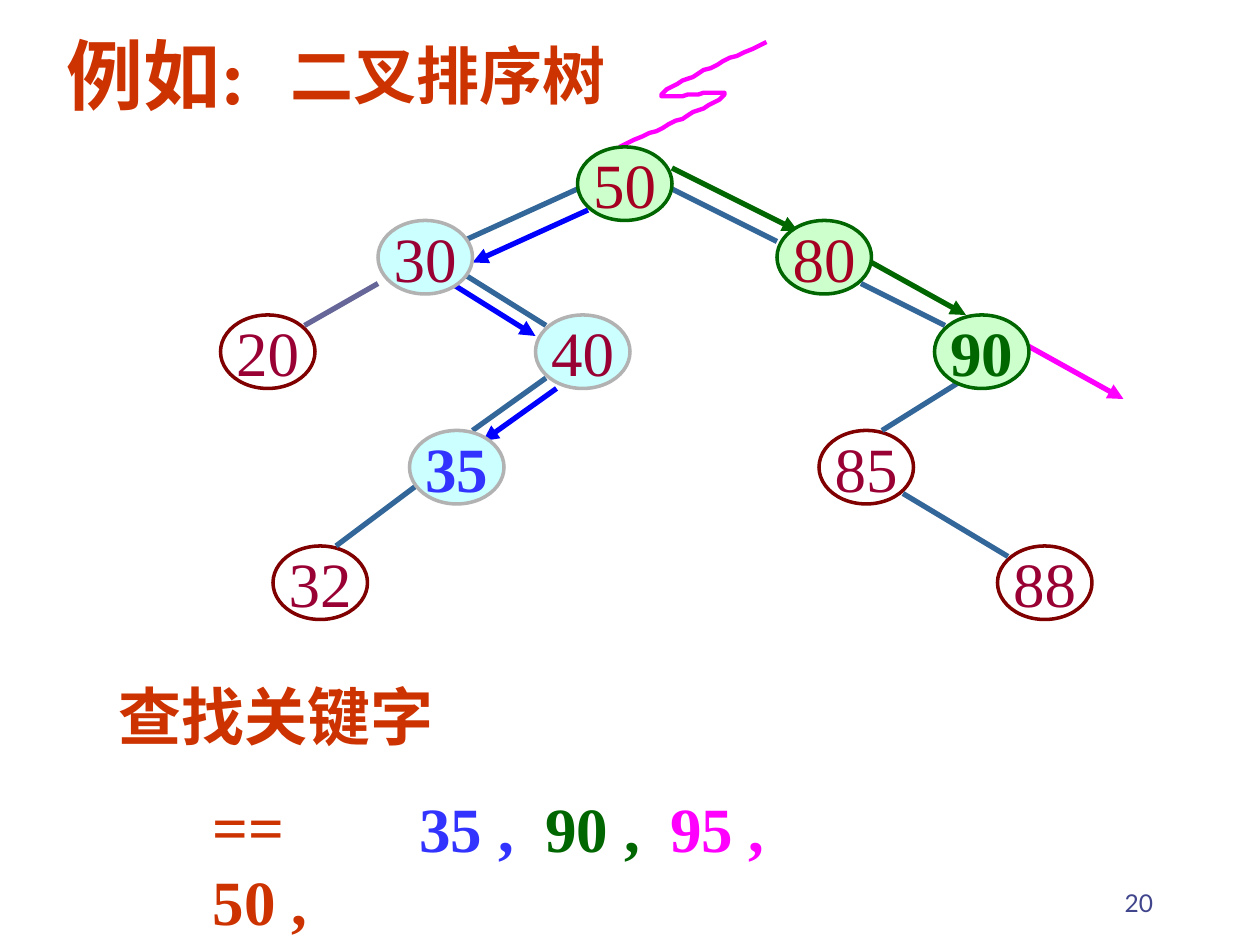
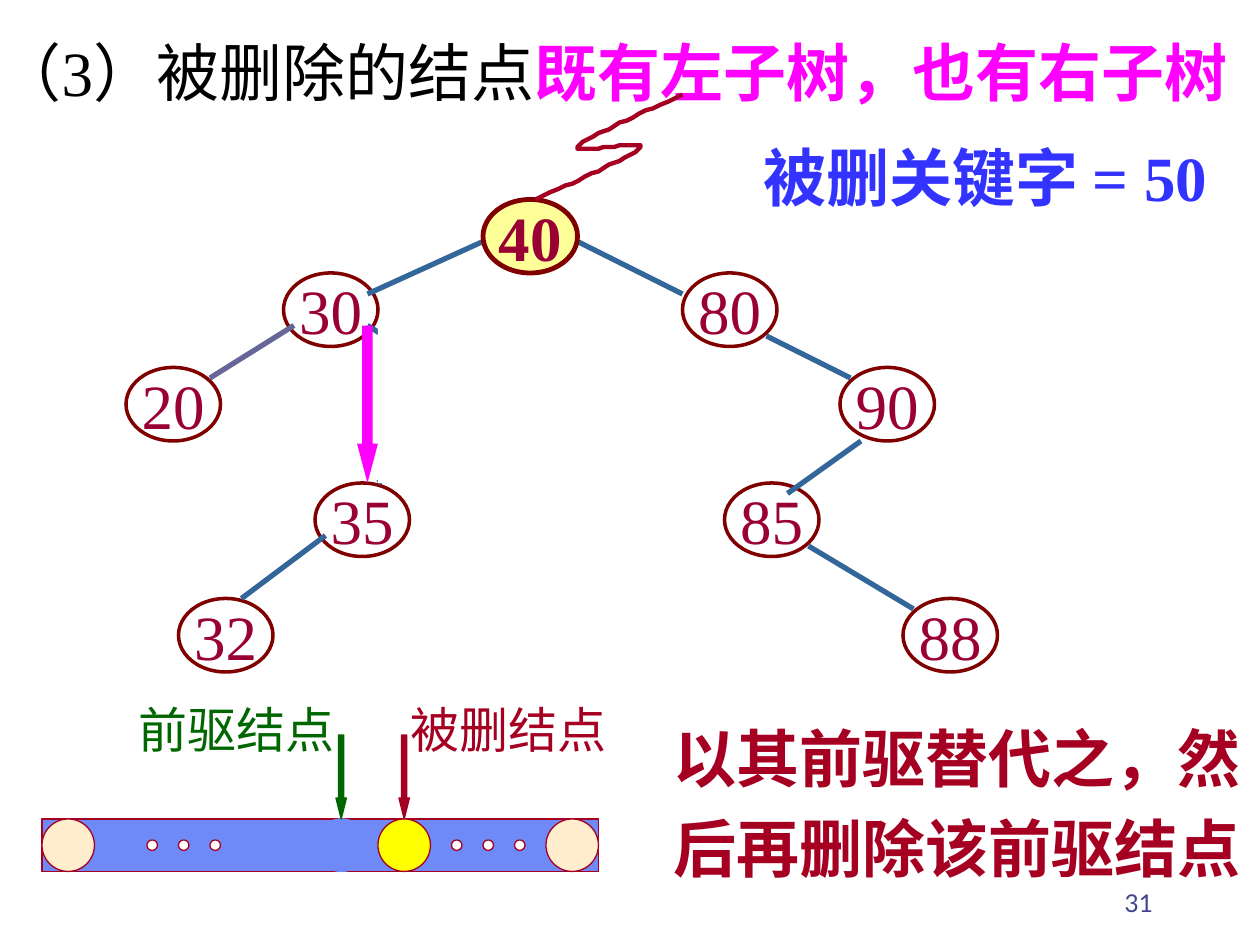
from lxml.etree import SubElement
from pptx import Presentation
from pptx.dml.color import RGBColor
from pptx.enum.shapes import MSO_CONNECTOR, MSO_SHAPE
from pptx.enum.text import MSO_ANCHOR, MSO_AUTO_SIZE, PP_ALIGN
from pptx.oxml.ns import qn
from pptx.util import Pt

WHITE = RGBColor(0xFF, 0xFF, 0xFF)
BLACK = RGBColor(0x00, 0x00, 0x00)
ORANGE = RGBColor(0xCC, 0x33, 0x00)
MAGENTA = RGBColor(0xFF, 0x00, 0xFF)
BLUE = RGBColor(0x00, 0x00, 0xFF)
SOFT_BLUE = RGBColor(0x33, 0x33, 0xFF)
GREEN = RGBColor(0x00, 0x66, 0x00)
PALE_GREEN = RGBColor(0xCC, 0xFF, 0xCC)
PALE_CYAN = RGBColor(0xCC, 0xFF, 0xFF)
GRAY = RGBColor(0xB2, 0xB2, 0xB2)
MAROON = RGBColor(0x80, 0x00, 0x00)
WINE = RGBColor(0x99, 0x00, 0x33)
CRIMSON = RGBColor(0xA5, 0x00, 0x21)
STEEL = RGBColor(0x33, 0x66, 0x99)
SLATE = RGBColor(0x66, 0x66, 0x99)
FOOTER_BLUE = RGBColor(0x40, 0x45, 0x8C)
BAR_BLUE = RGBColor(0x6F, 0x89, 0xF7)
CREAM = RGBColor(0xFF, 0xED, 0xCD)
YELLOW = RGBColor(0xFF, 0xFF, 0x00)
PALE_YELLOW = RGBColor(0xFF, 0xFF, 0x99)

NODE_PLACES = {
    "root": (330, 84), "30": (216, 126), "80": (444, 126), "20": (126, 180),
    "40": (306, 180), "90": (534, 180), "35": (234, 246), "85": (468, 246),
    "32": (156, 312), "88": (570, 312),
}
BRANCHES = {
    "root-30": (330, 108, 264, 138), "30-20": (216, 162, 174, 186),
    "root-80": (384, 108, 444, 138), "30-40": (264, 156, 312, 186),
    "40-35": (312, 216, 270, 246), "80-90": (492, 162, 540, 186),
    "90-85": (552, 216, 504, 246), "85-88": (516, 282, 576, 318),
    "35-32": (240, 276, 192, 312),
}
SQUIGGLE_START = (84, 0)
SQUIGGLE_CURVES = [
    ((56, 13), (28, 25), (24, 30)),
    ((20, 35), (64, 25), (60, 30)),
    ((56, 35), (28, 47), (0, 60)),
]
CURVE_STEPS = 20


def curve_points():
    start = SQUIGGLE_START
    for first, second, end in SQUIGGLE_CURVES:
        for step in range(1, CURVE_STEPS + 1):
            t = step / CURVE_STEPS
            weights = ((1 - t) ** 3, 3 * t * (1 - t) ** 2, 3 * t * t * (1 - t), t ** 3)
            corners = (start, first, second, end)
            yield tuple(sum(w * corner[axis] for w, corner in zip(weights, corners))
                        for axis in (0, 1))
        start = end


class TreeDeck:
    font_name = "Times New Roman"

    def __init__(self):
        self.presentation = Presentation()
        self.presentation.slide_width = Pt(720)
        self.presentation.slide_height = Pt(540)

    def new_slide(self, number, offset=(0, 0)):
        self.slide = self.presentation.slides.add_slide(self.presentation.slide_layouts[6])
        self.offset = offset
        box = self.slide.shapes.add_textbox(Pt(516), Pt(492), Pt(150), Pt(36))
        frame = box.text_frame
        frame.word_wrap = True
        frame.vertical_anchor = MSO_ANCHOR.BOTTOM
        frame.paragraphs[0].alignment = PP_ALIGN.RIGHT
        self.run(frame.paragraphs[0], number, FOOTER_BLUE, 14, font_name="Lato")

    def run(self, paragraph, words, color, size=36, bold=False, font_name=font_name):
        run = paragraph.add_run()
        run.text = words
        run.font.name = font_name
        run.font.size = Pt(size)
        run.font.bold = bold
        run.font.color.rgb = color

    def text(self, place, *runs, size=36, wrap=False, fill=None, line_spacing=None):
        box = self.slide.shapes.add_textbox(*map(Pt, place))
        if fill is not None:
            box.fill.solid()
            box.fill.fore_color.rgb = fill
        frame = box.text_frame
        frame.word_wrap = wrap
        frame.auto_size = MSO_AUTO_SIZE.SHAPE_TO_FIT_TEXT
        paragraph = frame.paragraphs[0]
        if line_spacing:
            paragraph.line_spacing = line_spacing
        for words, color, bold in runs:
            self.run(paragraph, words, color, size, bold)

    def shape(self, kind, place, fill=None, line=None, width=0.75):
        shape = self.slide.shapes.add_shape(kind, *map(Pt, place))
        self.paint(shape, fill, line, width)
        return shape

    def paint(self, shape, fill, line, width):
        shape.shadow.inherit = False
        if fill is None:
            shape.fill.background()
        else:
            shape.fill.solid()
            shape.fill.fore_color.rgb = fill
        if line is None:
            shape.line.fill.background()
        else:
            shape.line.color.rgb = line
            shape.line.width = Pt(width)

    def node(self, slot, label=None, fill=None, line=MAROON, color=WINE, bold=False, width=2):
        left, top = NODE_PLACES[slot]
        place = (left + self.offset[0], top + self.offset[1], 54, 42)
        frame = self.shape(MSO_SHAPE.OVAL, place, fill, line, width).text_frame
        frame.word_wrap = False
        frame.vertical_anchor = MSO_ANCHOR.MIDDLE
        frame.paragraphs[0].alignment = PP_ALIGN.CENTER
        self.run(frame.paragraphs[0], label or slot, color, bold=bold)

    def line(self, ends, color, arrow=False):
        connector = self.slide.shapes.add_connector(MSO_CONNECTOR.STRAIGHT, *map(Pt, ends))
        connector.line.color.rgb = color
        connector.line.width = Pt(3)
        if arrow:
            SubElement(connector.line._get_or_add_ln(), qn("a:tailEnd"), type="triangle")
        SubElement(connector._element.spPr, qn("a:effectLst"))

    def branches(self, **changes):
        shift_x, shift_y = self.offset
        moved = {name: (x1 + shift_x, y1 + shift_y, x2 + shift_x, y2 + shift_y)
                 for name, (x1, y1, x2, y2) in BRANCHES.items()}
        for name, ends in {**moved, **changes}.items():
            self.line(ends, SLATE if name == "30-20" else STEEL)

    def squiggle(self, left, top, color):
        builder = self.slide.shapes.build_freeform(*SQUIGGLE_START, scale=Pt(1))
        builder.add_line_segments(list(curve_points()), close=False)
        self.paint(builder.convert_to_shape(Pt(left), Pt(top)), None, color, 2.5)

    def down_arrow(self, place, color, head, outlined=True):
        arrow = self.shape(MSO_SHAPE.DOWN_ARROW, place, color, color if outlined else None)
        arrow.adjustments[0] = 0.5
        arrow.adjustments[1] = head

    def circle(self, left, top, diameter, fill, line=CRIMSON):
        self.shape(MSO_SHAPE.OVAL, (left, top, diameter, diameter), fill, line)


def search_slide(deck):
    deck.new_slide("20")
    for slot in ("20", "85", "88", "32"):
        deck.node(slot)
    deck.branches()
    deck.text((31, 12.2, 127.4, 60.5), ("例如:", ORANGE, True), size=44)
    deck.text((159.1, 17.3, 194.4, 50.4), ("二叉排序树", ORANGE, True))
    deck.squiggle(354, 24, MAGENTA)
    deck.text((60.5, 383.8, 194.4, 50.4), ("查找关键字", ORANGE, True))
    deck.text((114.5, 446.4, 118.1, 50.4), ("== 50 ,", ORANGE, True))
    for left, words, color in ((232.6, "35 ,", SOFT_BLUE), (304.6, "90 ,", GREEN),
                               (375.8, "95 ,", MAGENTA)):
        deck.text((left, 447.8, 68.4, 50.4), (words, color, True))

    search_steps = [
        ((336, 120, 270, 150), BLUE), ((258, 162, 306, 192), BLUE),
        ((318, 222, 276, 252), BLUE), ((384, 96, 456, 132), GREEN),
        ((498, 150, 552, 180), GREEN), ((588, 198, 642, 228), MAGENTA),
    ]
    for ends, color in search_steps:
        deck.line(ends, color, arrow=True)

    for slot in ("30", "40"):
        deck.node(slot, fill=PALE_CYAN, line=GRAY)
    deck.node("35", fill=PALE_CYAN, line=GRAY, color=SOFT_BLUE, bold=True)
    deck.node("root", "50", PALE_GREEN, GREEN, CRIMSON)
    deck.node("80", fill=PALE_GREEN, line=GREEN, color=CRIMSON)
    deck.node("90", fill=PALE_GREEN, line=GREEN, color=GREEN, bold=True)


def deletion_slide(deck):
    deck.new_slide("31", offset=(-54, 30))
    for slot in ("30", "80", "20", "90", "85", "35", "88", "32"):
        deck.node(slot)
    deck.branches(**{"30-20": (168, 186, 120, 216), "90-85": (492, 252, 450, 282)})
    deck.text((-7.9, 15.8, 733.7, 50.4), ("（3）被删除的结点", BLACK, False),
              ("既有左子树，也有右子树", MAGENTA, True), fill=WHITE)
    deck.node("root", "40", PALE_YELLOW, bold=True, width=2.75)

    deck.shape(MSO_SHAPE.RECTANGLE, (24, 468, 318, 30), BAR_BLUE, CRIMSON)
    for left in (24, 312):
        deck.circle(left, 468, 30, CREAM)
    for first_dot in (84, 258):
        for index in range(3):
            deck.circle(first_dot + 18 * index, 480, 6, WHITE)
    deck.circle(216, 468, 30, YELLOW)
    deck.circle(180, 468, 30, BAR_BLUE, BAR_BLUE)

    deck.text((378, 398.9, 343.4, 110.9), ("以其前驱替代之，然后再删除该前驱结点", CRIMSON, True),
              wrap=True, line_spacing=1.2)
    deck.down_arrow((204, 186, 12, 90), MAGENTA, 1.88, outlined=False)
    deck.shape(MSO_SHAPE.RECTANGLE, (216, 186, 102, 90), WHITE)
    for arrow_left, text_left, words, color in ((228, 227.5, "被删结点", CRIMSON),
                                                (192, 72, "前驱结点", GREEN)):
        deck.down_arrow((arrow_left, 420, 6, 48), color, 2)
        deck.text((text_left, 396, 126, 41), (words, color, False), size=28)
    deck.squiggle(306, 54, CRIMSON)
    deck.text((429.1, 75.6, 286.6, 50.4), ("被删关键字 = 50", SOFT_BLUE, True))


def main():
    deck = TreeDeck()
    search_slide(deck)
    deletion_slide(deck)
    deck.presentation.save("out.pptx")


if __name__ == "__main__":
    main()
